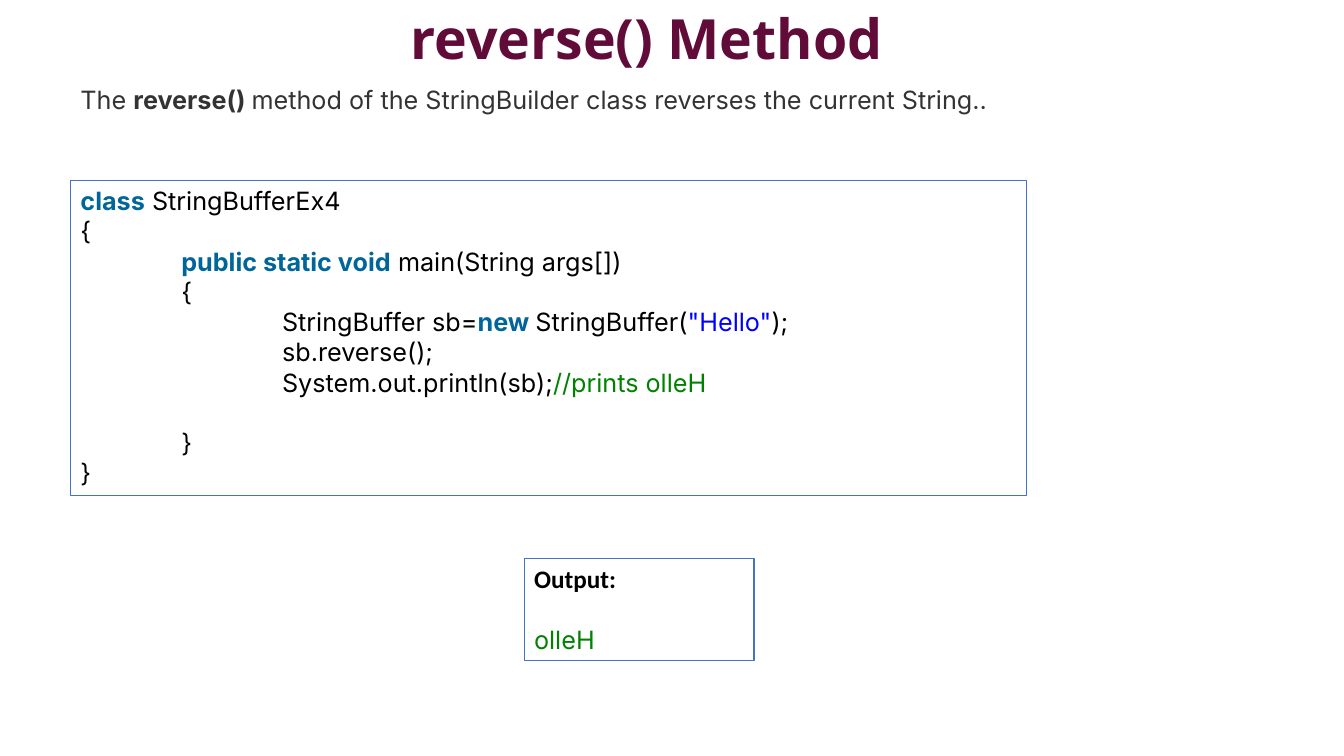
"""Build a slide that explains the reverse() method with code and its output."""
from pptx import Presentation
from pptx.dml.color import RGBColor
from pptx.enum import shapes, text
from pptx.util import Pt

PLUM = RGBColor(0x61, 0x0B, 0x38)
GREY = RGBColor(0x33, 0x33, 0x33)
BLACK = RGBColor(0x00, 0x00, 0x00)
KEYWORD = RGBColor(0x00, 0x66, 0x99)
STRING = RGBColor(0x00, 0x00, 0xFF)
GREEN = RGBColor(0x00, 0x82, 0x00)
BORDER = RGBColor(0x44, 0x72, 0xC4)

TAB = Pt(72)
BLANK_LINE = Pt(21.6)
STYLES = {
    "title": {"name": "Open Sans", "size": Pt(39.6), "bold": True, "color": PLUM},
    "intro": {"name": "Inter", "size": Pt(18), "bold": False, "color": GREY},
    "strong": {"name": "Inter", "size": Pt(18), "bold": True, "color": GREY},
    "code": {"name": "Inter", "size": Pt(18), "bold": False, "color": BLACK},
    "keyword": {"name": "Inter", "size": Pt(18), "bold": True, "color": KEYWORD},
    "string": {"name": "Inter", "size": Pt(18), "bold": False, "color": STRING},
    "green": {"name": "Inter", "size": Pt(18), "bold": False, "color": GREEN},
    "label": {"name": "Calibri", "size": Pt(18), "bold": True, "color": BLACK},
}


def write_lines(shape, lines, alignment, anchor=text.MSO_ANCHOR.TOP):
    frame = shape.text_frame
    frame.word_wrap = True
    frame.auto_size = text.MSO_AUTO_SIZE.NONE
    frame.vertical_anchor = anchor
    for index, (level, space_before, runs) in enumerate(lines):
        paragraph = frame.add_paragraph() if index else frame.paragraphs[0]
        paragraph.alignment = alignment
        paragraph.space_before = space_before
        if level:
            paragraph._p.get_or_add_pPr().set("marL", str(level * TAB))
        for style, words in runs:
            run = paragraph.add_run()
            run.text = words
            for name, value in STYLES[style].items():
                if name == "color":
                    run.font.color.rgb = value
                else:
                    setattr(run.font, name, value)


presentation = Presentation()
presentation.slide_width, presentation.slide_height = Pt(960), Pt(540)
slide = presentation.slides.add_slide(presentation.slide_layouts[5])

title = slide.shapes.title
title.left, title.top, title.width, title.height = Pt(31), Pt(2.9), Pt(861.8), Pt(53.3)
write_lines(title, [(0, Pt(0), [("title", "reverse() Method")])],
            text.PP_ALIGN.CENTER, text.MSO_ANCHOR.MIDDLE)
title.text_frame.paragraphs[0].line_spacing = 0.9

intro = slide.shapes.add_textbox(Pt(50.4), Pt(56.9), Pt(890.6), Pt(51.1))
write_lines(intro, [(0, Pt(0), [
    ("intro", "The "),
    ("strong", "reverse() "),
    ("intro", "method of the StringBuilder class reverses the current String.."),
])], text.PP_ALIGN.LEFT)

code_lines = [
    (0, Pt(0), [("keyword", "class"), ("code", " StringBufferEx4")]),
    (0, Pt(0), [("code", "{")]),
    (1, Pt(0), [("keyword", "public static void"), ("code", " main(String args[])")]),
    (1, Pt(0), [("code", "{")]),
    (2, Pt(0), [("code", "StringBuffer sb="), ("keyword", "new "),
                ("code", "StringBuffer("), ("string", "\"Hello\""), ("code", ");")]),
    (2, Pt(0), [("code", "sb.reverse();")]),
    (2, Pt(0), [("code", "System.out.println(sb);"), ("green", "//prints olleH")]),
    (1, BLANK_LINE, [("code", "}")]),
    (0, Pt(0), [("code", "}")]),
]
output_lines = [
    (0, Pt(0), [("label", "Output:")]),
    (0, BLANK_LINE, [("green", "olleH")]),
]
boxes = [
    ((50.4, 128.9, 682.6, 225.4), code_lines, text.PP_ALIGN.JUSTIFY),
    ((374.4, 398.9, 164.2, 72.7), output_lines, text.PP_ALIGN.LEFT),
]
for bounds, lines, alignment in boxes:
    box = slide.shapes.add_shape(shapes.MSO_SHAPE.RECTANGLE, *map(Pt, bounds))
    box.shadow.inherit = False
    box.fill.background()
    box.line.color.rgb = BORDER
    box.line.width = Pt(0.75)
    write_lines(box, lines, alignment)

presentation.save("out.pptx")
